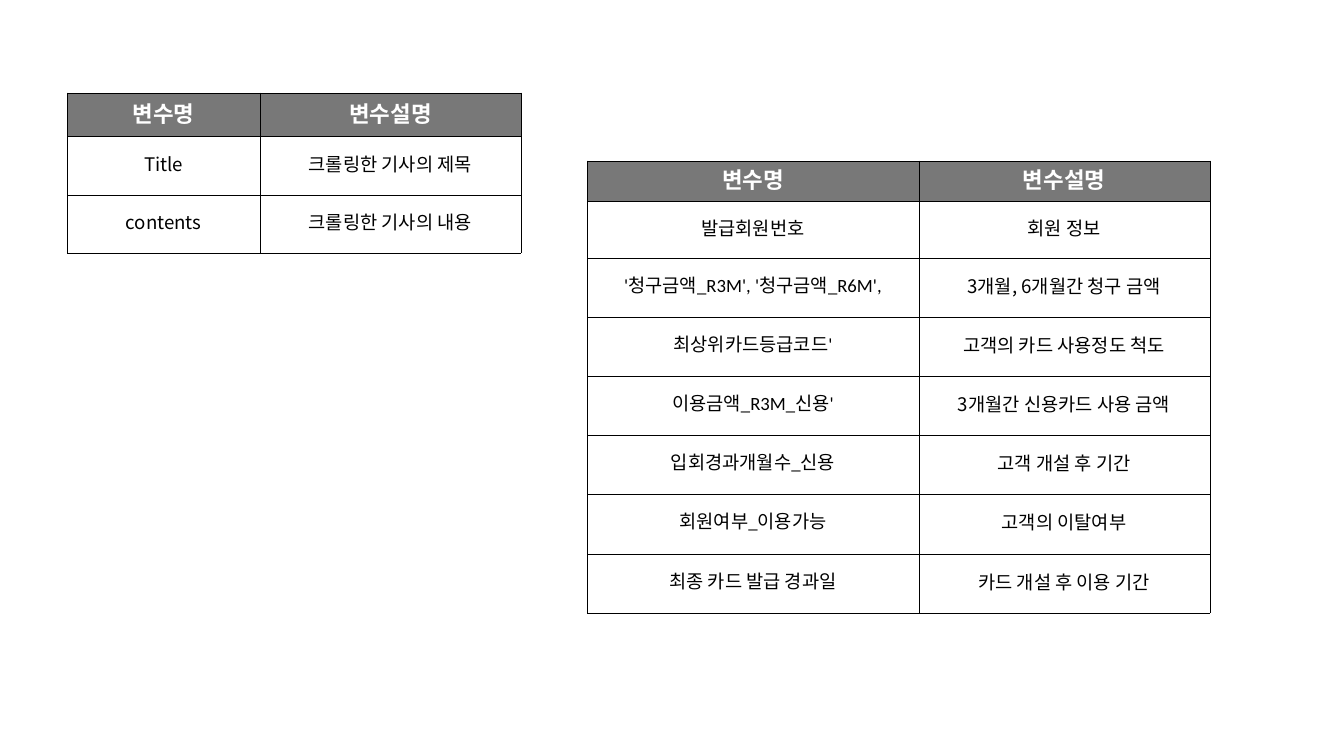
from lxml.etree import SubElement
from pptx import Presentation
from pptx.dml.color import RGBColor
from pptx.enum.text import MSO_ANCHOR, PP_ALIGN
from pptx.oxml.ns import qn
from pptx.util import Inches, Pt

KOREAN = "Noto Sans CJK KR"
LATIN = "Calibri"
HEADINGS = ("변수명", "변수설명")
ARTICLE_ROWS = [
    ("Title", "크롤링한 기사의 제목"),
    ("contents", "크롤링한 기사의 내용"),
]
CARD_ROWS = [
    ("발급회원번호", "회원 정보"),
    ("'청구금액_R3M', '청구금액_R6M',", "3개월, 6개월간 청구 금액"),
    ("최상위카드등급코드'", "고객의 카드 사용정도 척도"),
    ("이용금액_R3M_신용'", "3개월간 신용카드 사용 금액"),
    ("입회경과개월수_신용", "고객 개설 후 기간"),
    ("회원여부_이용가능", "고객의 이탈여부"),
    ("최종 카드 발급 경과일", "카드 개설 후 이용 기간"),
]


def color(value):
    return RGBColor.from_string(value)


class Slide:
    header_fill = "787878"
    body_fill = "FFFFFF"
    header_ink = "FFFFFF"
    body_ink = "000000"
    border = "000000"
    border_width = Pt(0.25)

    def __init__(self, page):
        self.page = page

    def table(self, left, top, widths, heights, rows, header_font, is_field):
        frame = self.page.shapes.add_table(
            len(rows) + 1, len(widths), Inches(left), Inches(top),
            Inches(sum(widths)), Inches(sum(heights)),
        )
        table = frame.table
        for column, width in zip(table.columns, widths):
            column.width = Inches(width)
        for row, height in zip(table.rows, heights):
            row.height = Inches(height)
        for column, heading in enumerate(HEADINGS):
            self.cell(table.cell(0, column), heading, header_font, 30, header=True)
        for row, texts in enumerate(rows, 1):
            for column, text in enumerate(texts):
                font, spacing = (LATIN, 21.8) if is_field(row, column) else (KOREAN, 24)
                self.cell(table.cell(row, column), text, font, spacing)

    def cell(self, cell, text, font, spacing, header=False):
        cell.margin_left = cell.margin_right = Inches(0.06)
        cell.margin_top = cell.margin_bottom = Inches(0.03)
        cell.vertical_anchor = MSO_ANCHOR.MIDDLE
        self.borders(cell)
        cell.fill.solid()
        cell.fill.fore_color.rgb = color(self.header_fill if header else self.body_fill)
        para = cell.text_frame.paragraphs[0]
        para.alignment = PP_ALIGN.CENTER
        para.line_spacing = Pt(spacing)
        span = para.add_run()
        span.text = text
        span.font.size = Pt(24 if header else 20)
        span.font.bold = header
        span.font.name = font
        span.font.color.rgb = color(self.header_ink if header else self.body_ink)
        properties = span._r.get_or_add_rPr()
        SubElement(properties, qn("a:ea"), typeface=KOREAN)

    def borders(self, cell):
        properties = cell._tc.get_or_add_tcPr()
        for side in ("L", "R", "T", "B"):
            line = SubElement(properties, qn(f"a:ln{side}"), w=str(self.border_width))
            fill = SubElement(line, qn("a:solidFill"))
            SubElement(fill, qn("a:srgbClr"), val=self.border)


def main():
    deck = Presentation()
    deck.slide_width = Inches(20)
    deck.slide_height = Inches(11.25)
    slide = Slide(deck.slides.add_slide(deck.slide_layouts[6]))
    slide.table(
        1, 1.38, [2.87, 3.88], [0.65] + [0.87] * 2, ARTICLE_ROWS, KOREAN,
        is_field=lambda row, column: False,
    )
    slide.table(
        8.74, 2.39, [4.93, 4.33], [0.6, 0.85] + [0.88] * 6, CARD_ROWS, LATIN,
        is_field=lambda row, column: row > 1 and column == 0,
    )
    deck.save("out.pptx")


if __name__ == "__main__":
    main()
